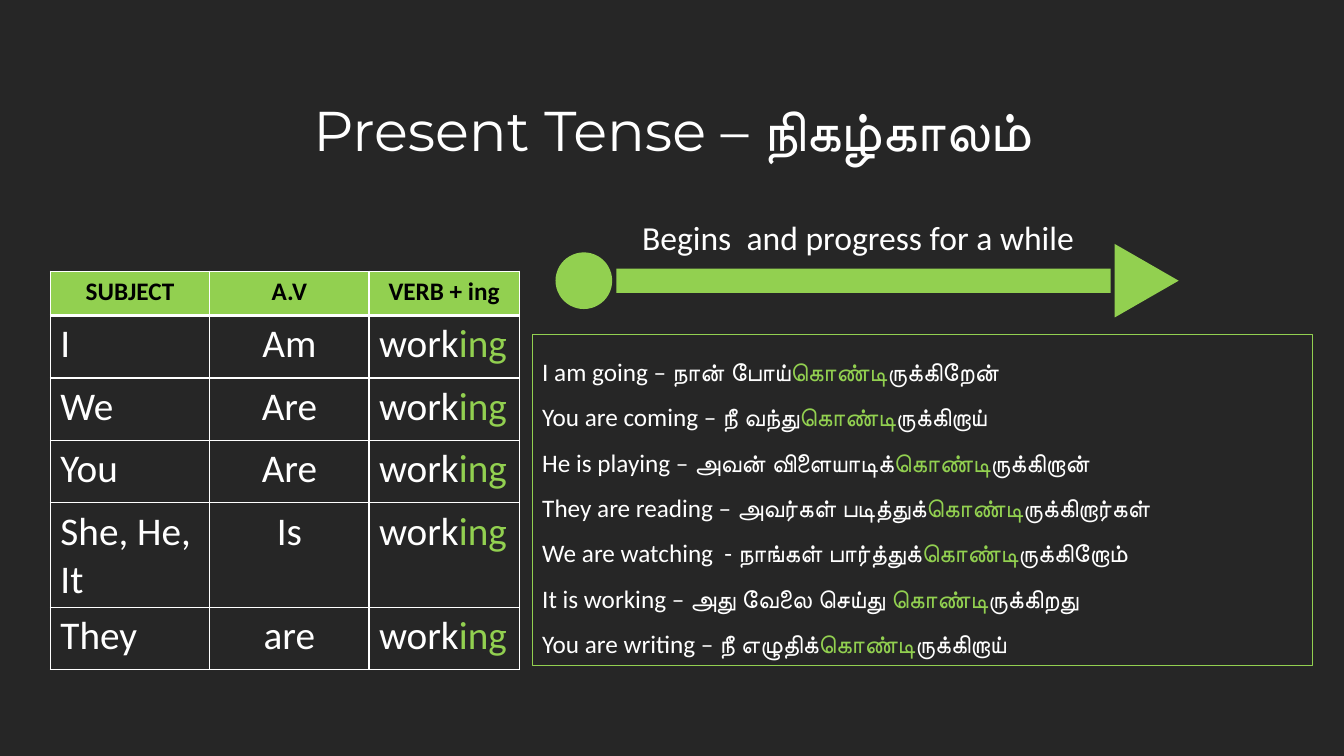
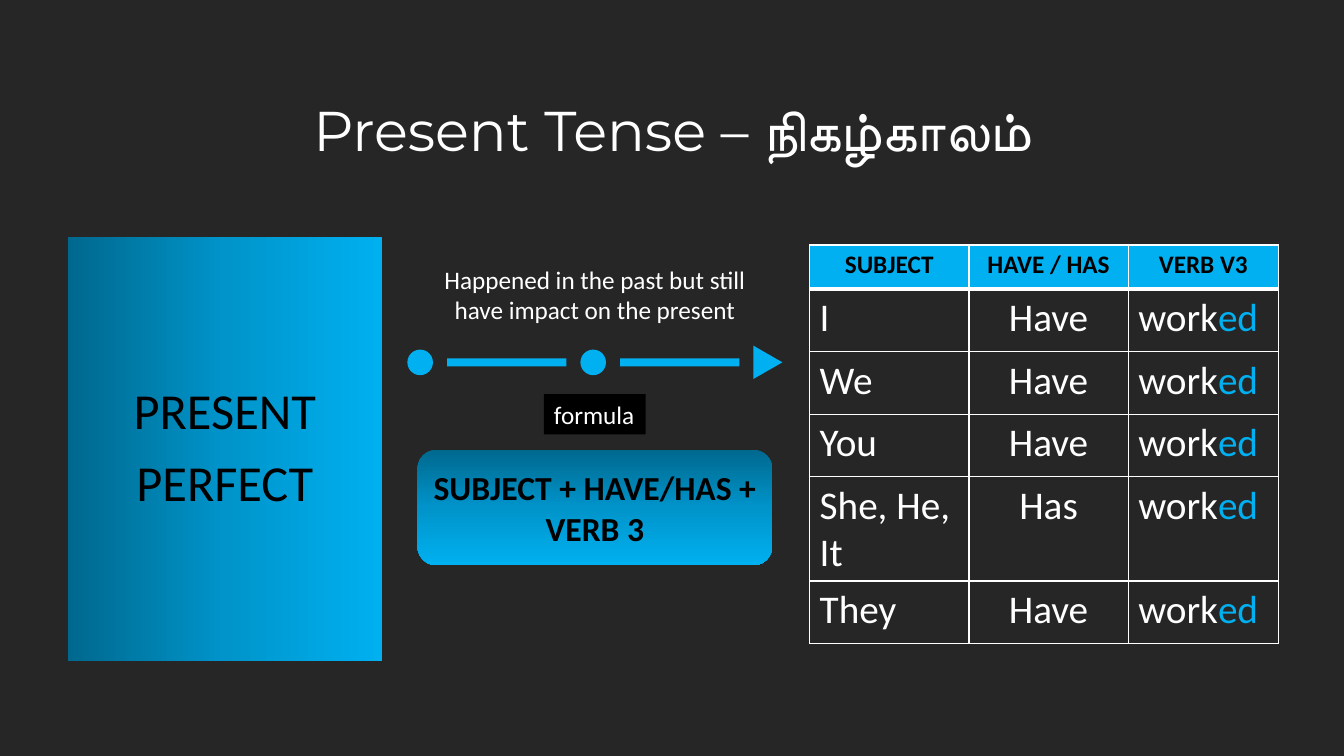
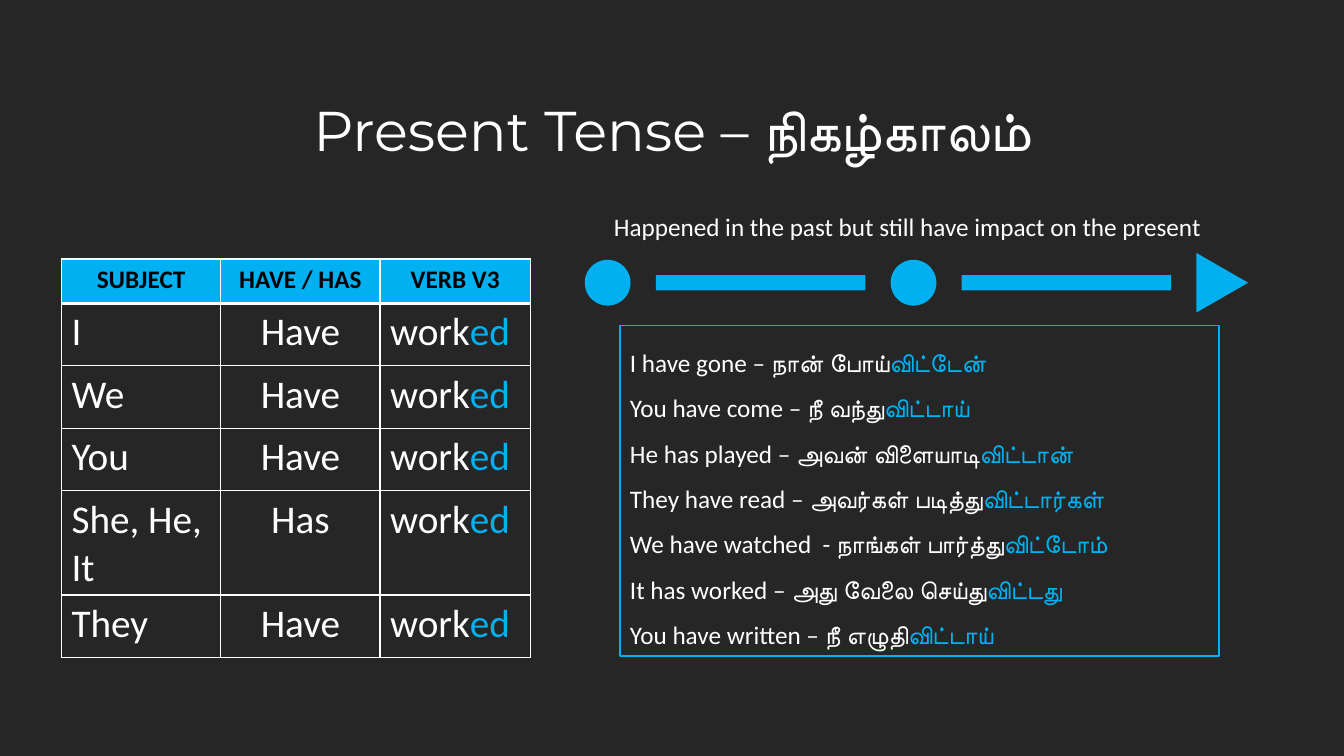
from copy import deepcopy

from lxml.etree import SubElement
from pptx import Presentation
from pptx.dml.color import RGBColor
from pptx.enum.shapes import MSO_SHAPE
from pptx.enum.text import MSO_ANCHOR, PP_ALIGN
from pptx.oxml.ns import qn
from pptx.util import Inches, Pt

COLORS = {
    "background": "262626",
    "white": "FFFFFF",
    "black": "000000",
    "green": "92D050",
    "blue": "00B0F0",
    "blue_mid": "0094CA",
    "blue_dark": "00688E",
}
BODY_FONT = "Calibri"
TITLE_FONT = "Montserrat"
TITLE = "Present Tense – நிகழ்காலம்"
IMPACT = "Happened in the past but still have impact on the present"

COLUMN_WIDTHS = (1.58, 1.58, 1.49)
HEADER_HEIGHT, ROW_HEIGHT = 0.44, 0.62
SUBJECTS = ("I", "We", "You", "She, He, It", "They")

CONTINUOUS = {
    "header": ("SUBJECT", "A.V", "VERB + ing"),
    "auxiliaries": ("Am", "Are", "Are", "Is", "are"),
    "verb": "work|ing",
    "color": "green",
}
PERFECT = {
    "header": ("SUBJECT", "HAVE / HAS", "VERB V3"),
    "auxiliaries": ("Have", "Have", "Have", "Has", "Have"),
    "verb": "work|ed",
    "color": "blue",
}
CONTINUOUS_EXAMPLES = (
    "I am going – நான் போய்|கொண்டி|ருக்கிறேன்",
    "You are coming – நீ வந்து|கொண்டி|ருக்கிறாய்",
    "He is playing – அவன் விளையாடிக்|கொண்டி|ருக்கிறான்",
    "They are reading – அவர்கள் படித்துக்|கொண்டி|ருக்கிறார்கள்",
    "We are watching  - நாங்கள் பார்த்துக்|கொண்டி|ருக்கிறோம்",
    "It is working – அது வேலை செய்து |கொண்டி|ருக்கிறது",
    "You are writing – நீ எழுதிக்|கொண்டி|ருக்கிறாய்",
)
PERFECT_EXAMPLES = (
    "I have gone – நான் போய்|விட்டேன்",
    "You have come – நீ வந்து|விட்டாய்",
    "He has played – அவன் விளையாடி|விட்டான்",
    "They have read – அவர்கள் படித்து|விட்டார்கள்",
    "We have watched  - நாங்கள் பார்த்து|விட்டோம்",
    "It has worked – அது வேலை செய்து|விட்டது",
    "You have written – நீ எழுதி|விட்டாய்",
)


def rgb(name):
    return RGBColor.from_string(COLORS[name])


def write(frame, lines, size, color="white", accent=None, bold=False,
          align=PP_ALIGN.LEFT, font=BODY_FONT, spacing=None, after=None):
    for index, line in enumerate(lines):
        paragraph = frame.paragraphs[0] if index == 0 else frame.add_paragraph()
        paragraph.alignment = align
        if spacing:
            paragraph.line_spacing = spacing
        if after:
            paragraph.space_after = Pt(after)
        paragraph.font.name = font
        paragraph.font.size = Pt(size)
        paragraph.font.bold = bold
        paragraph.font.color.rgb = rgb(color)
        for part, text in enumerate(line.split("|")):
            run = paragraph.add_run()
            run.text = text
            if part % 2:
                run.font.color.rgb = rgb(accent)


def add_label(slide, box, text, size, wrap=True, **style):
    label = slide.shapes.add_textbox(*map(Inches, box))
    label.text_frame.word_wrap = wrap
    write(label.text_frame, [text], size, **style)
    return label


def add_block(shapes, kind, box, fill=None, line=None):
    block = shapes.add_shape(kind, *map(Inches, box))
    block.shadow.inherit = False
    if fill:
        block.fill.solid()
        block.fill.fore_color.rgb = rgb(fill)
    else:
        block.fill.background()
    if line:
        block.line.color.rgb = rgb(line)
        block.line.width = Pt(1)
    else:
        block.line.fill.background()
    block.text_frame.word_wrap = True
    block.text_frame.vertical_anchor = MSO_ANCHOR.MIDDLE
    return block


def shade_blue(block, angle):
    block.fill.gradient()
    block.fill.gradient_angle = angle
    stops = block.element.spPr.find(".//" + qn("a:gsLst"))
    stops.append(deepcopy(stops[0]))
    shades = ((0, "blue_dark"), (0.5, "blue_mid"), (1, "blue"))
    for stop, (position, shade) in zip(block.fill.gradient_stops, shades):
        stop.position = position
        stop.color.rgb = rgb(shade)


def add_border(cell, bottom):
    properties = cell._tc.get_or_add_tcPr()
    for side, width in (("L", 1), ("R", 1), ("T", 1), ("B", bottom)):
        edge = SubElement(properties, qn(f"a:ln{side}"), w=str(Pt(width)))
        fill = SubElement(edge, qn("a:solidFill"))
        SubElement(fill, qn("a:srgbClr"), val=COLORS["white"])


def add_conjugation(slide, left, top, tense):
    rows = [tense["header"]]
    rows += [(subject, auxiliary, tense["verb"])
             for subject, auxiliary in zip(SUBJECTS, tense["auxiliaries"])]
    height = HEADER_HEIGHT + ROW_HEIGHT * len(SUBJECTS)
    box = (left, top, sum(COLUMN_WIDTHS), height)
    table = slide.shapes.add_table(
        len(rows), len(COLUMN_WIDTHS), *map(Inches, box)).table
    table.first_row = table.horz_banding = False
    for column, width in zip(table.columns, COLUMN_WIDTHS):
        column.width = Inches(width)
    for r, row in enumerate(rows):
        header = r == 0
        table.rows[r].height = Inches(HEADER_HEIGHT if header else ROW_HEIGHT)
        for c, text in enumerate(row):
            cell = table.cell(r, c)
            add_border(cell, 3 if header else 1)
            if header:
                cell.fill.solid()
                cell.fill.fore_color.rgb = rgb(tense["color"])
            else:
                cell.fill.background()
            write(cell.text_frame, [text], 18 if header else 28,
                  color="black" if header else "white",
                  accent=tense["color"], bold=header,
                  align=PP_ALIGN.CENTER if header or c == 1 else PP_ALIGN.LEFT)


def add_timeline(slide, box, bars, gap, thickness, color):
    left, top, width, height = box
    middle = top + height / 2
    dot, arrow = 0.77 * height, 0.87 * height
    bar = (width - arrow - bars * (dot + 2 * gap)) / bars
    shapes = slide.shapes.add_group_shape().shapes
    for index in range(bars):
        x = left + index * (dot + bar + 2 * gap)
        add_block(shapes, MSO_SHAPE.OVAL,
                  (x, middle - dot / 2, dot, dot), color)
        add_block(shapes, MSO_SHAPE.RECTANGLE,
                  (x + dot + gap, middle - thickness / 2, bar, thickness), color)
    tip_left = left + width - arrow / 2 - height / 2
    tip = add_block(shapes, MSO_SHAPE.ISOSCELES_TRIANGLE,
                    (tip_left, middle - arrow / 2, height, arrow), color)
    tip.rotation = 90


def add_examples(slide, box, sentences, color):
    panel = add_block(slide.shapes, MSO_SHAPE.RECTANGLE, box, line=color)
    write(panel.text_frame, sentences, 18, accent=color, spacing=1.5)


def add_tense_name(slide, box, words):
    panel = add_block(slide.shapes, MSO_SHAPE.RECTANGLE, box)
    shade_blue(panel, 0)
    write(panel.text_frame, words, 36, color="black", align=PP_ALIGN.CENTER,
          spacing=0.9, after=12.6)


def add_formula(slide, box, formula):
    left, top, width, height = box
    tag_width, tag_height = 1.01, 0.4
    tag_box = (left + (width - tag_width) / 2, top, tag_width, tag_height)
    tag = add_label(slide, tag_box, "formula", 18, wrap=False)
    tag.fill.solid()
    tag.fill.fore_color.rgb = rgb("black")
    offset = tag_height + 0.15
    panel = add_block(slide.shapes, MSO_SHAPE.ROUNDED_RECTANGLE,
                      (left, top + offset, width, height - offset))
    shade_blue(panel, 270)
    write(panel.text_frame, [formula], 24, color="black", bold=True,
          align=PP_ALIGN.CENTER)


def add_titled_slide(deck):
    slide = deck.slides.add_slide(deck.slide_layouts[6])
    slide.background.fill.solid()
    slide.background.fill.fore_color.rgb = rgb("background")
    add_label(slide, (2.09, 0.9, 9.15, 0.77), TITLE, 40,
              font=TITLE_FONT, align=PP_ALIGN.CENTER)
    return slide


def build_continuous(deck):
    slide = add_titled_slide(deck)
    add_examples(slide, (5.28, 3.32, 7.74, 3.28), CONTINUOUS_EXAMPLES, "green")
    add_timeline(slide, (5.51, 2.42, 6.18, 0.73), 1, 0.04, 0.24, "green")
    add_label(slide, (6.27, 2.1, 4.52, 0.5),
              "Begins  and progress for a while", 24, wrap=False)
    add_conjugation(slide, 0.5, 2.69, CONTINUOUS)


def build_perfect_formula(deck):
    slide = add_titled_slide(deck)
    add_tense_name(slide, (0.67, 2.35, 3.12, 4.21), ("PRESENT", "PERFECT"))
    add_formula(slide, (4.14, 3.91, 3.52, 1.7), "SUBJECT + HAVE/HAS + VERB 3")
    add_conjugation(slide, 8.03, 2.43, PERFECT)
    add_timeline(slide, (4.04, 3.43, 3.72, 0.33), 2, 0.14, 0.08, "blue")
    add_label(slide, (4.05, 2.57, 3.7, 0.71), IMPACT, 18,
              align=PP_ALIGN.CENTER)


def build_perfect_examples(deck):
    slide = add_titled_slide(deck)
    add_examples(slide, (6.15, 3.23, 5.94, 3.28), PERFECT_EXAMPLES, "blue")
    add_timeline(slide, (5.8, 2.51, 6.58, 0.59), 2, 0.25, 0.15, "blue")
    add_label(slide, (5.99, 2.05, 6.54, 0.4), IMPACT, 18)
    add_conjugation(slide, 0.61, 2.57, PERFECT)


def main():
    deck = Presentation()
    deck.slide_width, deck.slide_height = Inches(13.33), Inches(7.5)
    build_continuous(deck)
    build_perfect_formula(deck)
    build_perfect_examples(deck)
    deck.save("out.pptx")


if __name__ == "__main__":
    main()
